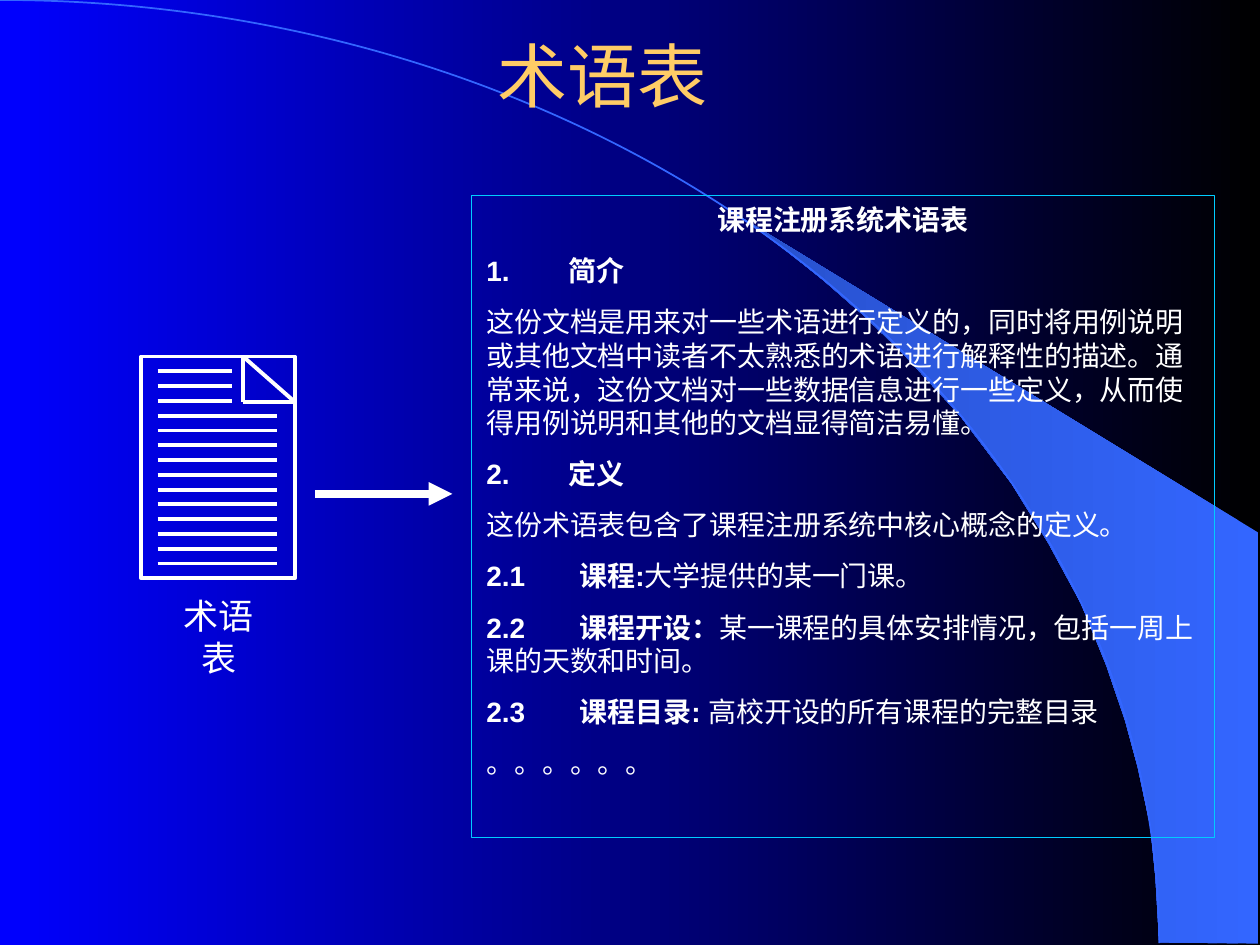
from lxml import etree
from pptx import Presentation
from pptx.dml.color import RGBColor
from pptx.enum.shapes import MSO_CONNECTOR, MSO_SHAPE
from pptx.enum.text import MSO_ANCHOR, PP_ALIGN
from pptx.oxml.ns import qn
from pptx.util import Inches, Pt

ARC, RECT = MSO_SHAPE.ARC, MSO_SHAPE.RECTANGLE
STRAIGHT = MSO_CONNECTOR.STRAIGHT
LEFT, CENTER = PP_ALIGN.LEFT, PP_ALIGN.CENTER
TOP, MIDDLE = MSO_ANCHOR.TOP, MSO_ANCHOR.MIDDLE

COLORS = {"black": "000000", "blue": "0000FF", "sweep": "3366FF",
          "sweep_dark": "2851CC", "white": "FFFFFF", "title": "FFCC66",
          "frame": "00CCFF"}
ARIAL, TIMES = "Arial", "Times New Roman"
BODY = {"size": Pt(16), "name": ARIAL, "bold": False}
BOLD = {**BODY, "bold": True}
HEADING = {**BOLD, "name": TIMES}
HEADING_TAB, TERM_TAB = 0.65, 0.74

# Each paragraph: alignment, tab stop, runs of (text, format)
GLOSSARY = [
    (CENTER, None, [("课程注册系统术语表", BOLD)]),
    (LEFT, HEADING_TAB, [("1.\t", BOLD), ("简介", HEADING)]),
    (LEFT, None, [("这份文档是用来对一些术语进行定义的，同时将用例说明或其他文档中"
                   "读者不太熟悉的术语进行解释性的描述。通常来说，这份文档对一些数据"
                   "信息进行一些定义，从而使得用例说明和其他的文档显得简洁易懂。", BODY)]),
    (LEFT, HEADING_TAB, [("2.\t", BOLD), ("定义", HEADING)]),
    (LEFT, None, [("这份术语表包含了课程注册系统中核心概念的定义。", BODY)]),
    (LEFT, TERM_TAB, [("2.1\t课程:", BOLD), ("大学提供的某一门课。", BODY)]),
    (LEFT, TERM_TAB, [("2.2\t课程开设：", BOLD),
                      ("某一课程的具体安排情况，包括一周上课的天数和时间。", BODY)]),
    (LEFT, TERM_TAB, [("2.3\t", BOLD), ("课程目录", HEADING), (": ", BOLD),
                      ("高校开设的所有课程的完整目录", BODY)]),
    (LEFT, None, [("。。。。。。", BODY)]),
]

SWEEP = [(9.2, 7.48), (9.99, 7.49), (9.99, 4.23), (5.89, 1.73), (6.24, 1.99),
         (6.53, 2.22), (6.85, 2.5), (7.16, 2.8), (7.62, 3.3), (8.03, 3.84),
         (8.32, 4.31), (8.58, 4.79), (8.78, 5.28), (8.93, 5.72), (9.03, 6.09),
         (9.13, 6.56), (9.17, 6.96)]


def rgb(name):
    return RGBColor.from_string(COLORS[name])


def set_gradient(fill, *names):
    fill.gradient()
    fill.gradient_angle = 180
    for position, (stop, name) in enumerate(zip(fill.gradient_stops, names)):
        stop.position = position
        stop.color.rgb = rgb(name)


def add_outline(s, shape, box, color, width):
    sp = s.shapes.add_shape(shape, *map(Inches, box))
    sp.shadow.inherit = False
    sp.fill.background()
    sp.line.color.rgb = rgb(color)
    sp.line.width = Pt(width)
    return sp


def add_line(s, x1, y1, x2, y2, width=2.25):
    line = s.shapes.add_connector(STRAIGHT, *map(Inches, (x1, y1, x2, y2)))
    line.line.color.rgb = rgb("white")
    line.line.width = Pt(width)
    etree.SubElement(line._element.spPr, qn("a:effectLst"))
    return line


def add_run(p, text, fmt, color="white"):
    r = p.add_run()
    r.text = text
    for key, value in fmt.items():
        setattr(r.font, key, value)
    r.font.color.rgb = rgb(color)


def add_label(s, box, text, size, color, anchor, wrap):
    tf = s.shapes.add_textbox(*map(Inches, box)).text_frame
    tf.word_wrap = wrap
    tf.vertical_anchor = anchor
    p = tf.paragraphs[0]
    p.alignment = CENTER
    add_run(p, text, {"size": Pt(size), "name": ARIAL}, color)


def add_backdrop(s, box):
    """Gradient background, curved band and the arc along its edge."""
    set_gradient(s.background.fill, "black", "blue")
    builder = s.shapes.build_freeform(*map(Inches, SWEEP[0]), scale=1.0)
    builder.add_line_segments([(Inches(x), Inches(y)) for x, y in SWEEP[1:]])
    sp = builder.convert_to_shape()
    sp.shadow.inherit = False
    set_gradient(sp.fill, "sweep", "sweep_dark")
    sp.line.fill.background()
    add_outline(s, ARC, box, "sweep", 1)


def add_document(s, box):
    """Page icon with folded corner, text lines and caption."""
    x, y, w, h = box
    right, fold_x, fold_y = x + w, x + 0.81, y + 0.36
    add_outline(s, RECT, box, "white", 2.25)
    corner = [(fold_x, y), (right, fold_y), (fold_x, fold_y)]
    for start, end in zip(corner, corner[1:] + corner[:1]):
        add_line(s, *start, *end)
    step = h / 15
    for row in range(1, 15):
        line_y = y + row * step
        line_end = fold_x - 0.09 if row <= 3 else right - 0.14
        add_line(s, x + 0.13, line_y, line_end, line_y)
    add_label(s, (x + 0.1, y + h + 0.08, 1.03, 0.44), "术语表", 20, "white",
              TOP, False)


def add_glossary(s, box):
    """Framed sheet with the glossary text."""
    tf = add_outline(s, RECT, box, "frame", 0.75).text_frame
    tf.word_wrap = True
    tf.vertical_anchor = TOP
    tf.margin_left = tf.margin_right = Inches(0.12)
    tf.margin_top = tf.margin_bottom = Inches(0.06)
    for i, (align, tab, runs) in enumerate(GLOSSARY):
        p = tf.add_paragraph() if i else tf.paragraphs[0]
        p.alignment = align
        p.space_before = Pt(10)
        if tab:
            tabs = etree.SubElement(p._p.get_or_add_pPr(), qn("a:tabLst"))
            etree.SubElement(tabs, qn("a:tab"), pos=str(Inches(tab)), algn="l")
        for text, fmt in runs:
            add_run(p, text, fmt)


def add_arrow(s, x1, x2, y):
    arrow = add_line(s, x1, y, x2, y, 4.5)
    etree.SubElement(arrow.line._get_or_add_ln(), qn("a:tailEnd"), type="triangle")


def main():
    prs = Presentation()
    prs.slide_width, prs.slide_height = Inches(10), Inches(7.5)
    s = prs.slides.add_slide(prs.slide_layouts[6])
    add_backdrop(s, (-9.2, 0, 18.4, 14.97))
    add_document(s, (1.12, 2.83, 1.22, 1.76))
    add_label(s, (1.06, 0.28, 7.44, 0.63), "术语表", 40, "title", MIDDLE, True)
    add_glossary(s, (3.74, 1.55, 5.9, 5.1))
    add_arrow(s, 2.5, 3.59, 3.92)
    prs.save("out.pptx")


if __name__ == "__main__":
    main()
